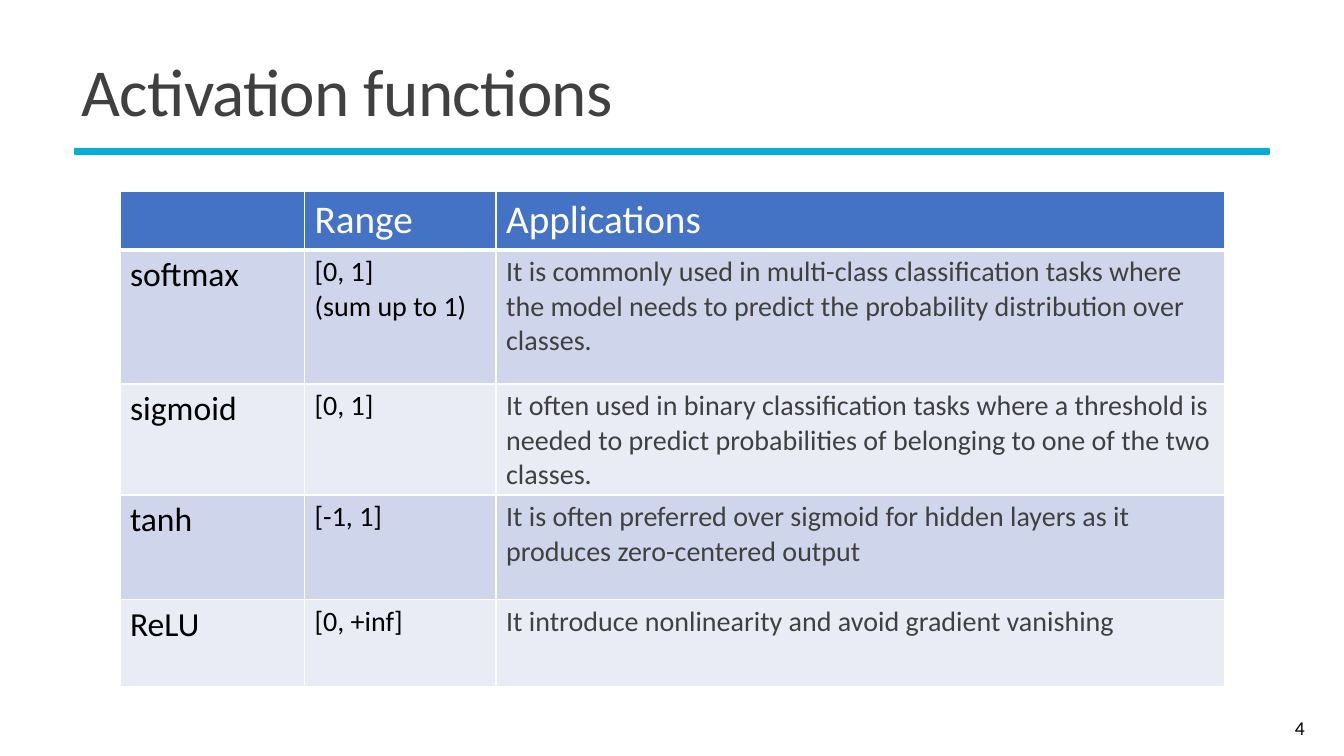
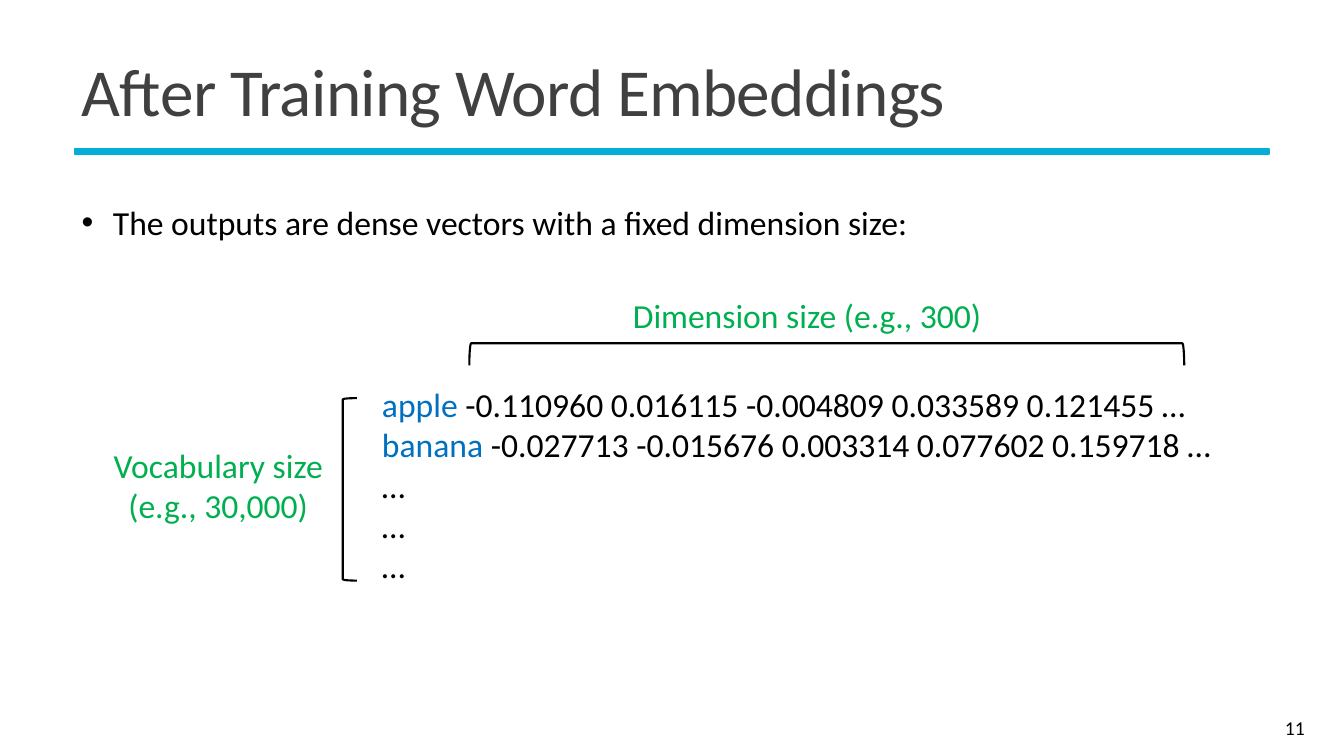
"""Builds two lecture slides: activation functions and trained word embeddings."""
from dataclasses import dataclass
from typing import NamedTuple

from lxml import etree
from pptx import Presentation
from pptx.dml.color import RGBColor
from pptx.enum.shapes import MSO_SHAPE
from pptx.enum.text import MSO_ANCHOR, MSO_AUTO_SIZE, PP_ALIGN
from pptx.oxml.ns import qn
from pptx.util import Inches, Pt

LEFT, CENTER, RIGHT = PP_ALIGN.LEFT, PP_ALIGN.CENTER, PP_ALIGN.RIGHT
TOP, MIDDLE = MSO_ANCHOR.TOP, MSO_ANCHOR.MIDDLE
NO_AUTOFIT = MSO_AUTO_SIZE.NONE
RECTANGLE, LEFT_BRACKET = MSO_SHAPE.RECTANGLE, MSO_SHAPE.LEFT_BRACKET

FONT = "Calibri"
BLACK = RGBColor(0x00, 0x00, 0x00)
WHITE = RGBColor(0xFF, 0xFF, 0xFF)
GRAY = RGBColor(0x40, 0x40, 0x40)
CYAN = RGBColor(0x05, 0xAE, 0xD6)
BLUE = RGBColor(0x00, 0x70, 0xC0)
GREEN = RGBColor(0x00, 0xB0, 0x50)
HEADER_FILL = RGBColor(0x44, 0x72, 0xC4)
BAND_FILLS = (RGBColor(0xCF, 0xD5, 0xEA), RGBColor(0xE9, 0xEB, 0xF5))

TITLE_ONLY_LAYOUT, CONTENT_LAYOUT = 5, 1


class Box(NamedTuple):
    left: float
    top: float
    width: float
    height: float

    def lengths(self):
        """Returns the four measures as lengths."""
        return tuple(Inches(value) for value in self)


class Entry(NamedTuple):
    word: str
    values: str


class Activation(NamedTuple):
    name: str
    value_range: str
    application: str


class ColumnStyle(NamedTuple):
    heading: str
    width: float
    size: float
    color: RGBColor


@dataclass(frozen=True)
class Label:
    text: str
    box: Box


@dataclass(frozen=True)
class Bracket:
    box: Box
    rotation: float = 0


TITLE_BOX = Box(0.71, 0.39, 11.94, 1.13)
RULE_BOX = Box(0.74, 1.48, 11.85, 0.05)
NUMBER_BOX = Box(11.61, 7.02, 1.43, 0.4)
TABLE_BOX = Box(1.19, 1.9, 10.96, 4.83)
BULLET_BOX = Box(0.71, 1.95, 8.6, 0.5)
VECTORS_BOX = Box(3.69, 3.76, 8.63, 2.12)

ROW_HEIGHTS = (0.58, 1.33, 1.02, 1.04, 0.86)
COLUMNS = (
    ColumnStyle("", 1.83, 24, BLACK),
    ColumnStyle("Range", 1.9, 20, BLACK),
    ColumnStyle("Applications", 7.23, 20, GRAY),
)
ACTIVATIONS = (
    Activation("softmax", "[0, 1]\n(sum up to 1)",
               "It is commonly used in multi-class classification tasks where the model "
               "needs to predict the probability distribution over classes."),
    Activation("sigmoid", "[0, 1]",
               "It often used in binary classification tasks where a threshold is needed "
               "to predict probabilities of belonging to one of the two classes."),
    Activation("tanh", "[-1, 1]",
               "It is often preferred over sigmoid for hidden layers as it produces "
               "zero-centered output"),
    Activation("ReLU", "[0, +inf]",
               "It introduce nonlinearity and avoid gradient vanishing"),
)

ENTRIES = (
    Entry("apple", " -0.110960 0.016115 -0.004809 0.033589 0.121455 …"),
    Entry("banana", " -0.027713 -0.015676 0.003314 0.077602 0.159718 …"),
    *[Entry("", "…")] * 3,
)
LABELS = (
    Label("Dimension size (e.g., 300)", Box(6.16, 2.88, 3.69, 0.5)),
    Label("Vocabulary size\n(e.g., 30,000)", Box(1.01, 4.36, 2.31, 0.91)),
)
BRACKETS = (
    Bracket(Box(3.4, 3.95, 0.14, 1.81)),
    Bracket(Box(8.09, -0.03, 0.22, 7.09), rotation=90),
)


def add_run(paragraph, text: str, *, size: float, color: RGBColor, spacing: float = 0):
    """Adds one formatted run to a paragraph."""
    run = paragraph.add_run()
    run.text = text
    run.font.name, run.font.size, run.font.bold = FONT, Pt(size), False
    run.font.color.rgb = color
    if spacing:
        run.font._element.set("spc", str(round(spacing * 100)))


def write_text(frame, text, *, size: float = 24, color: RGBColor = BLACK,
               align=LEFT, anchor=TOP, line_spacing: float = 1, spacing: float = 0):
    """Fills a frame with lines of text, or with entries whose word is highlighted."""
    frame.word_wrap = True
    frame.vertical_anchor = anchor
    lines = text.split("\n") if isinstance(text, str) else text
    for index, line in enumerate(lines):
        paragraph = frame.add_paragraph() if index else frame.paragraphs[0]
        paragraph.alignment, paragraph.line_spacing = align, line_spacing
        paragraph.space_before = Pt(0)
        pieces = [(line, color)]
        if isinstance(line, Entry):
            pieces = [(line.word, BLUE), (line.values, color)]
        for piece, piece_color in pieces:
            if piece:
                add_run(paragraph, piece, size=size, color=piece_color, spacing=spacing)


def place(shape, box: Box):
    """Moves and sizes a placeholder."""
    shape.left, shape.top, shape.width, shape.height = box.lengths()


def add_text(slide, text, box: Box, **formatting):
    """Adds a text box."""
    write_text(slide.shapes.add_textbox(*box.lengths()).text_frame, text, **formatting)


def add_outline(slide, kind, box: Box, color: RGBColor, width: float):
    """Adds an unfilled shape with a solid outline."""
    shape = slide.shapes.add_shape(kind, *box.lengths())
    shape.shadow.inherit = False
    shape.fill.background()
    shape.line.color.rgb, shape.line.width = color, Pt(width)
    return shape


def add_base_slide(presentation, layout: int, title: str, number: int):
    """Adds a slide with the shared title, rule and page number."""
    slide = presentation.slides.add_slide(presentation.slide_layouts[layout])
    rule = add_outline(slide, RECTANGLE, RULE_BOX, CYAN, 1.25)
    rule.fill.solid()
    rule.fill.fore_color.rgb = CYAN
    place(slide.shapes.title, TITLE_BOX)
    frame = slide.shapes.title.text_frame
    frame.auto_size = NO_AUTOFIT
    write_text(frame, title, size=48, color=GRAY, anchor=MIDDLE,
               line_spacing=0.85, spacing=-0.5)
    add_text(slide, str(number), NUMBER_BOX, size=14, align=RIGHT, anchor=MIDDLE)
    return slide


def style_cell(cell, fill: RGBColor, top: float, bottom: float):
    """Gives a cell white borders and a solid fill."""
    properties = cell._tc.get_or_add_tcPr()
    for side, width in (("L", 1), ("R", 1), ("T", top), ("B", bottom)):
        border = etree.SubElement(properties, qn(f"a:ln{side}"), w=str(Pt(width)))
        solid = etree.SubElement(border, qn("a:solidFill"))
        etree.SubElement(solid, qn("a:srgbClr"), val=str(WHITE))
    cell.fill.solid()
    cell.fill.fore_color.rgb = fill


def add_activation_table(slide):
    """Adds the table of activation functions."""
    table = slide.shapes.add_table(
        len(ROW_HEIGHTS), len(COLUMNS), *TABLE_BOX.lengths()).table
    for column, style in zip(table.columns, COLUMNS):
        column.width = Inches(style.width)
    rows = [tuple(style.heading for style in COLUMNS), *ACTIVATIONS]
    for row_index, (values, height) in enumerate(zip(rows, ROW_HEIGHTS)):
        table.rows[row_index].height = Inches(height)
        header = row_index == 0
        fill = HEADER_FILL if header else BAND_FILLS[(row_index - 1) % 2]
        for column_index, (value, style) in enumerate(zip(values, COLUMNS)):
            cell = table.cell(row_index, column_index)
            write_text(cell.text_frame, value, size=28 if header else style.size,
                       color=WHITE if header else style.color)
            style_cell(cell, fill, top=3 if row_index == 1 else 1,
                       bottom=3 if header else 1)


def add_bullet(slide, text: str):
    """Fills the body placeholder with one bullet."""
    body = slide.placeholders[1]
    place(body, BULLET_BOX)
    body.text_frame.auto_size = NO_AUTOFIT
    write_text(body.text_frame, text)
    properties = body.text_frame.paragraphs[0]._p.get_or_add_pPr()
    properties.set("marL", str(Inches(0.31)))
    properties.set("indent", str(-Inches(0.31)))
    etree.SubElement(properties, qn("a:buFont"), typeface="Arial")
    etree.SubElement(properties, qn("a:buChar"), char="•")


def build_activations(presentation):
    """Builds the slide on activation functions."""
    slide = add_base_slide(presentation, TITLE_ONLY_LAYOUT, "Activation functions", 4)
    add_activation_table(slide)


def build_embeddings(presentation):
    """Builds the slide on word embeddings."""
    slide = add_base_slide(
        presentation, CONTENT_LAYOUT, "After Training Word Embeddings", 11)
    add_bullet(slide, "The outputs are dense vectors with a fixed dimension size:")
    add_text(slide, ENTRIES, VECTORS_BOX)
    for label in LABELS:
        add_text(slide, label.text, label.box, color=GREEN, align=CENTER)
    for bracket in BRACKETS:
        shape = add_outline(slide, LEFT_BRACKET, bracket.box, BLACK, 1.5)
        shape.rotation = bracket.rotation


def main():
    """Builds and saves the presentation."""
    presentation = Presentation()
    presentation.slide_width, presentation.slide_height = Inches(13.33), Inches(7.5)
    build_activations(presentation)
    build_embeddings(presentation)
    presentation.save("out.pptx")


if __name__ == "__main__":
    main()
